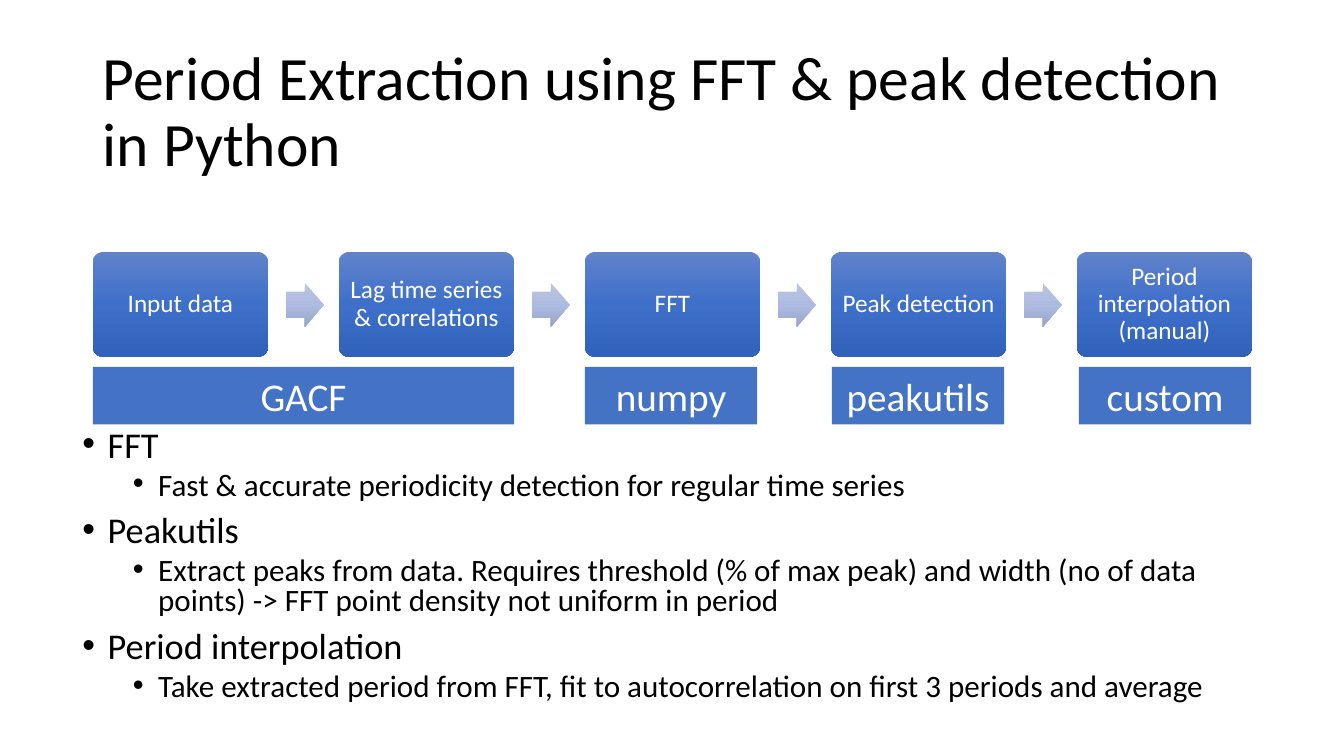
"""Build the slide on period extraction with FFT and peak detection."""
from copy import deepcopy

from lxml import etree
from pptx import Presentation
from pptx.dml.color import RGBColor
from pptx.enum.shapes import MSO_SHAPE
from pptx.enum.text import MSO_ANCHOR, PP_ALIGN
from pptx.oxml.ns import qn
from pptx.util import Inches, Pt

ROUNDED, ARROW, RECT = (MSO_SHAPE.ROUNDED_RECTANGLE, MSO_SHAPE.RIGHT_ARROW,
                        MSO_SHAPE.RECTANGLE)
TOP, MIDDLE = MSO_ANCHOR.TOP, MSO_ANCHOR.MIDDLE
LEFT, CENTER = PP_ALIGN.LEFT, PP_ALIGN.CENTER

STEP_BLUES = ("6183CB", "3E70CA", "3062BB")
ARROW_BLUES = ("BBC5E3", "AEBBE0", "98A4CB")
STEPS = ("Input data", "Lag time series & correlations", "FFT",
         "Peak detection", "Period interpolation (manual)")
TOOLS = (("GACF", 0.92, 4.18), ("numpy", 5.8, 1.71),
         ("peakutils", 8.25, 1.71), ("custom", 10.7, 1.71))
NOTES = (
    ("FFT", "Fast & accurate periodicity detection for regular time series"),
    ("Peakutils", "Extract peaks from data. Requires threshold (% of max peak) "
     "and width (no of data points) -> FFT point density not uniform in period"),
    ("Period interpolation", "Take extracted period from FFT, fit to "
     "autocorrelation on first 3 periods and average"),
)
FIRST_STEP, STEP_PITCH = 0.92, 2.44


def rgb(value):
    """Turn a hex string into a colour."""
    return RGBColor.from_string(value)


class SlideBuilder:
    """Hold the style and the current slide."""

    font, dark, light, accent = "Calibri", "000000", "FFFFFF", "4472C4"

    def __init__(self, slide):
        """Keep the slide to draw on."""
        self.slide = slide

    def add_text(self, paragraph, text, size, color, align=LEFT, spacing=1.0):
        """Add one styled run to a paragraph."""
        paragraph.alignment, paragraph.line_spacing = align, spacing
        run = paragraph.add_run()
        run.text = text
        run.font.name, run.font.size = self.font, Pt(size)
        run.font.color.rgb = rgb(color)

    def text_box(self, box, anchor):
        """Add an empty wrapping text box and return its frame."""
        frame = self.slide.shapes.add_textbox(*map(Inches, box)).text_frame
        frame.word_wrap, frame.vertical_anchor = True, anchor
        return frame

    def shape(self, kind, box, adjustments=()):
        """Add a preset shape without line or shadow."""
        shape = self.slide.shapes.add_shape(kind, *map(Inches, box))
        shape.shadow.inherit = False
        shape.line.fill.background()
        for index, value in enumerate(adjustments):
            shape.adjustments[index] = value
        return shape

    def shade(self, shape, colors):
        """Fill a shape with a three-colour gradient from top to bottom."""
        shape.fill.gradient()
        shape.fill.gradient_angle = 270
        stops = shape._element.spPr.find(".//" + qn("a:gsLst"))
        stops.insert(1, deepcopy(stops[0]))
        for stop, color, place in zip(shape.fill.gradient_stops, colors, (0, 0.5, 1)):
            stop.color.rgb, stop.position = rgb(color), place

    def label(self, shape, text, size, spacing=1.0, inset=None):
        """Centre a light label inside a shape."""
        frame = shape.text_frame
        frame.word_wrap, frame.vertical_anchor = True, MIDDLE
        if inset is not None:
            frame.margin_left = frame.margin_right = Inches(inset)
            frame.margin_top = frame.margin_bottom = Inches(inset)
        self.add_text(frame.paragraphs[0], text, size, self.light, CENTER, spacing)

    def title(self, text, box):
        """Add the slide title."""
        frame = self.text_box(box, MIDDLE)
        self.add_text(frame.paragraphs[0], text, 44, self.dark, spacing=0.9)

    def step(self, text, left):
        """Add one step of the process."""
        step = self.shape(ROUNDED, (left, 2.5, 1.74, 1.04), (0.1,))
        self.shade(step, STEP_BLUES)
        self.label(step, text, 18, 0.9, 0.07)

    def arrow(self, left):
        """Add a block arrow between two steps."""
        arrow = self.shape(ARROW, (left, 2.81, 0.37, 0.43), (0.6, 0.5))
        self.shade(arrow, ARROW_BLUES)

    def tool(self, text, left, width):
        """Add the bar that names the tool under its steps."""
        tool = self.shape(RECT, (left, 3.64, width, 0.57))
        tool.fill.solid()
        tool.fill.fore_color.rgb = rgb(self.accent)
        self.label(tool, text, 28)

    def bullet(self, paragraph, text, level):
        """Add one bulleted line at the given level."""
        self.add_text(paragraph, text, (25.9, 22.2)[level], self.dark, spacing=0.8)
        paragraph.level, paragraph.space_before = level, Pt((10, 5)[level])
        properties = paragraph._p.get_or_add_pPr()
        properties.set("marL", str(Inches(0.25 + 0.5 * level)))
        properties.set("indent", str(Inches(-0.25)))
        etree.SubElement(properties, qn("a:buFont"), typeface="Arial")
        etree.SubElement(properties, qn("a:buChar"), char="•")

    def notes(self, topics, box):
        """Add the list of topics, each with its explanation."""
        frame = self.text_box(box, TOP)
        lines = [(text, level) for topic in topics for level, text in enumerate(topic)]
        for index, (text, level) in enumerate(lines):
            paragraph = frame.add_paragraph() if index else frame.paragraphs[0]
            self.bullet(paragraph, text, level)


def main():
    """Build and save the presentation."""
    deck = Presentation()
    deck.slide_width, deck.slide_height = Inches(13.33), Inches(7.5)
    builder = SlideBuilder(deck.slides.add_slide(deck.slide_layouts[6]))
    builder.title("Period Extraction using FFT & peak detection in Python",
                  (0.92, 0.4, 11.5, 1.45))
    for index, text in enumerate(STEPS):
        left = FIRST_STEP + index * STEP_PITCH
        if index:
            builder.arrow(left - 0.52)
        builder.step(text, left)
    for text, left, width in TOOLS:
        builder.tool(text, left, width)
    builder.notes(NOTES, (0.72, 4.22, 11.5, 2.93))
    deck.save("out.pptx")


if __name__ == "__main__":
    main()
